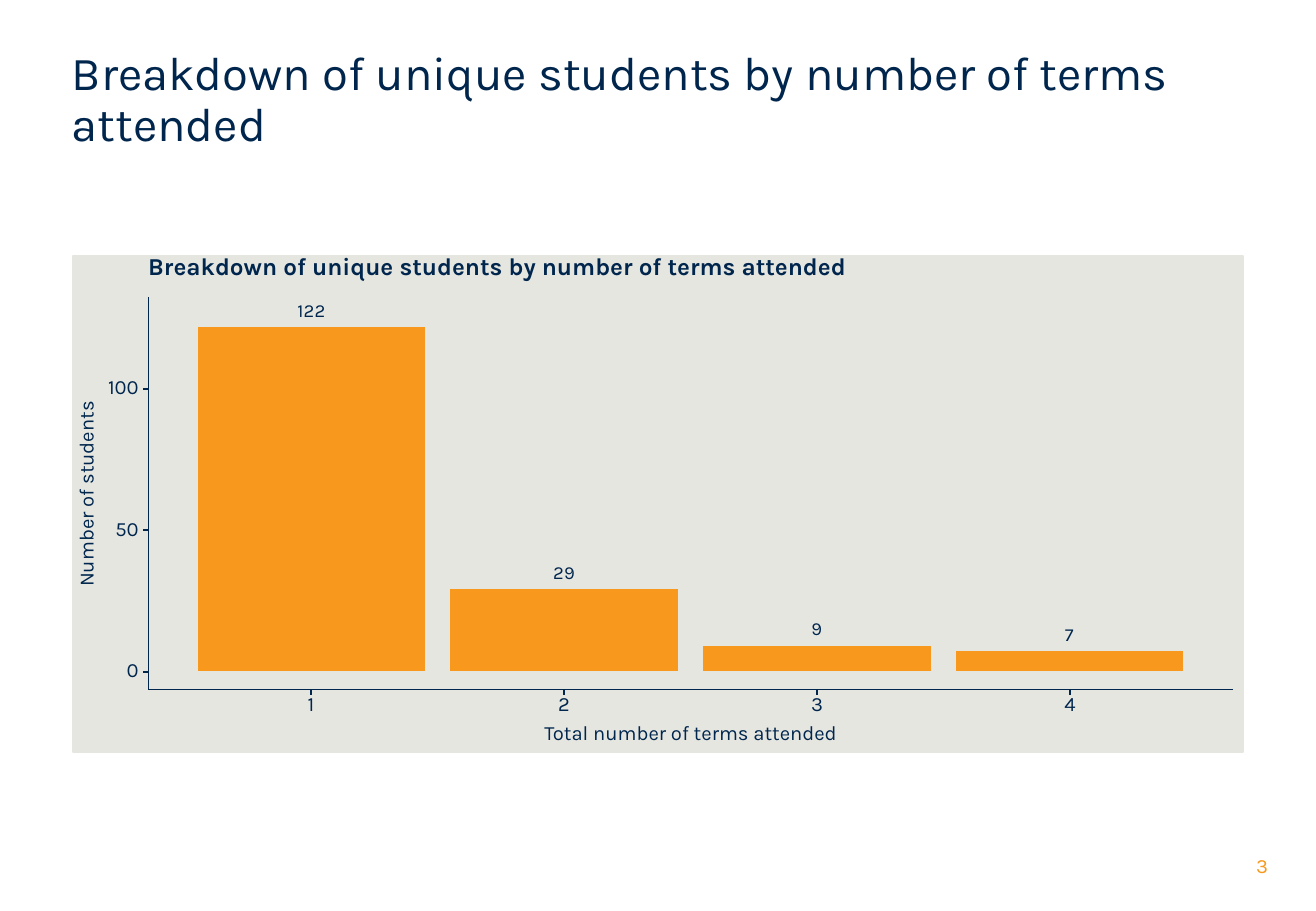
from lxml import etree
from pptx import Presentation
from pptx.chart.data import CategoryChartData
from pptx.dml.color import RGBColor
from pptx.enum.chart import XL_CHART_TYPE, XL_LABEL_POSITION
from pptx.enum.text import MSO_ANCHOR, PP_ALIGN
from pptx.oxml import parse_xml
from pptx.oxml.ns import nsdecls, qn
from pptx.util import Cm, Pt

TITLE = "Breakdown of unique students by number of terms attended"
X_NAME = "Total number of terms attended"
Y_NAME = "Number of students"
PAGE = "3"
TERMS = ["1", "2", "3", "4"]
COUNTS = [122, 29, 9, 7]
MARKS = [0, 50, 100]
TOP_VALUE = 132

FONT = "Karla"
NAVY = RGBColor(0x00, 0x26, 0x4D)
ORANGE = RGBColor(0xF8, 0x98, 0x1D)
PANEL = "E6E6E1"
LEFT, MID, RIGHT = PP_ALIGN.LEFT, PP_ALIGN.CENTER, PP_ALIGN.RIGHT
MIDDLE = MSO_ANCHOR.MIDDLE
BARS = XL_CHART_TYPE.COLUMN_CLUSTERED
OUTSIDE = XL_LABEL_POSITION.OUTSIDE_END

CHART_X, CHART_Y, CHART_W, CHART_H = 1.5, 5.33, 24.51, 10.41
AXIS_X, AXIS_Y, AXIS_END, AXIS_TOP = 3.1, 14.42, 25.78, 6.22
ZERO_Y, UNIT = 14.05, 2.96 / 50
FIRST_X, STEP = 6.5, 5.29
TICK = 0.11
THIN, THICK = 0.57, 1.16


def add_text(slide, text, x, y, w, h, size, align=MID, color=NAVY, bold=False, space=None):
    box = slide.shapes.add_textbox(Cm(x), Cm(y - h / 2), Cm(w), Cm(h))
    frame = box.text_frame
    frame.margin_left = frame.margin_right = frame.margin_top = frame.margin_bottom = 0
    frame.word_wrap = True
    frame.vertical_anchor = MIDDLE
    para = frame.paragraphs[0]
    para.text = text
    para.alignment = align
    para.line_spacing = space or Pt(size)
    font = para.font
    font.name, font.size, font.bold = FONT, Pt(size), bold
    font.color.rgb = color
    return box


def add_line(slide, x1, y1, x2, y2, width):
    line = slide.shapes.add_connector(1, Cm(x1), Cm(y1), Cm(x2), Cm(y2))
    line.line.color.rgb = NAVY
    line.line.width = Pt(width)
    etree.SubElement(line.element.spPr, qn("a:effectLst"))


def add_bars(slide):
    data = CategoryChartData()
    data.categories = TERMS
    data.add_series(Y_NAME, COUNTS)
    chart = slide.shapes.add_chart(
        BARS, Cm(CHART_X), Cm(CHART_Y), Cm(CHART_W), Cm(CHART_H), data).chart
    chart.has_title = chart.has_legend = False
    chart.font.name, chart.font.size = FONT, Pt(11)
    chart.font.color.rgb = NAVY
    chart.category_axis.visible = False
    scale = chart.value_axis
    scale.visible = scale.has_major_gridlines = False
    scale.minimum_scale, scale.maximum_scale = 0, TOP_VALUE

    plot = chart.plots[0]
    plot.gap_width = 11
    plot.vary_by_categories = False
    plot.has_data_labels = True
    labels = plot.data_labels
    labels.show_value = True
    labels.position = OUTSIDE
    fill = plot.series[0].format.fill
    fill.solid()
    fill.fore_color.rgb = ORANGE

    height = TOP_VALUE * UNIT
    spots = {
        "x": (FIRST_X - STEP / 2 - CHART_X) / CHART_W,
        "y": (ZERO_Y - height - CHART_Y) / CHART_H,
        "w": STEP * len(TERMS) / CHART_W,
        "h": height / CHART_H,
    }
    modes = '<c:xMode val="edge"/><c:yMode val="edge"/>'
    sizes = "".join(f'<c:{key} val="{val:.4f}"/>' for key, val in spots.items())
    area = chart.element.find(".//" + qn("c:plotArea"))
    for old in area.findall(qn("c:layout")):
        area.remove(old)
    area.insert(0, parse_xml(
        f'<c:layout {nsdecls("c")}><c:manualLayout><c:layoutTarget val="inner"/>'
        f'{modes}{sizes}</c:manualLayout></c:layout>'))
    paint = f'<a:solidFill><a:srgbClr val="{PANEL}"/></a:solidFill>'
    chart.element.find(qn("c:chart")).addnext(parse_xml(
        f'<c:spPr {nsdecls("c", "a")}>{paint}<a:ln w="14700">{paint}</a:ln></c:spPr>'))


def add_axes(slide):
    add_line(slide, AXIS_X, AXIS_Y, AXIS_X, AXIS_TOP, THIN)
    add_line(slide, AXIS_X, AXIS_Y, AXIS_END, AXIS_Y, THIN)
    for mark in MARKS:
        y = ZERO_Y - mark * UNIT
        add_line(slide, AXIS_X - TICK, y, AXIS_X, y, THICK)
        add_text(slide, str(mark), 1.9, y, 1, 0.6, 12, RIGHT)
    for i, term in enumerate(TERMS):
        x = FIRST_X + i * STEP
        add_line(slide, x, AXIS_Y + TICK, x, AXIS_Y, THICK)
        add_text(slide, term, x - 0.5, 14.76, 1, 0.6, 12)
    add_text(slide, X_NAME, AXIS_X, 15.35, AXIS_END - AXIS_X, 0.6, 12)
    side = add_text(slide, Y_NAME, -0.67, 10.33, 5, 0.6, 12)
    side.rotation = 270


def main():
    deck = Presentation()
    deck.slide_width, deck.slide_height = Cm(27.51), Cm(19.05)
    slide = deck.slides.add_slide(deck.slide_layouts[6])
    add_text(slide, PAGE, 24.56, 18.13, 1.95, 0.76, 12, RIGHT, ORANGE)
    add_text(slide, TITLE, CHART_X, 2.1, CHART_W, 2.8, 28, LEFT, space=0.9)
    add_bars(slide)
    add_axes(slide)
    add_text(slide, TITLE, AXIS_X, 5.62, 18, 0.6, 14.4, LEFT, bold=True)
    deck.save("out.pptx")


if __name__ == "__main__":
    main()
